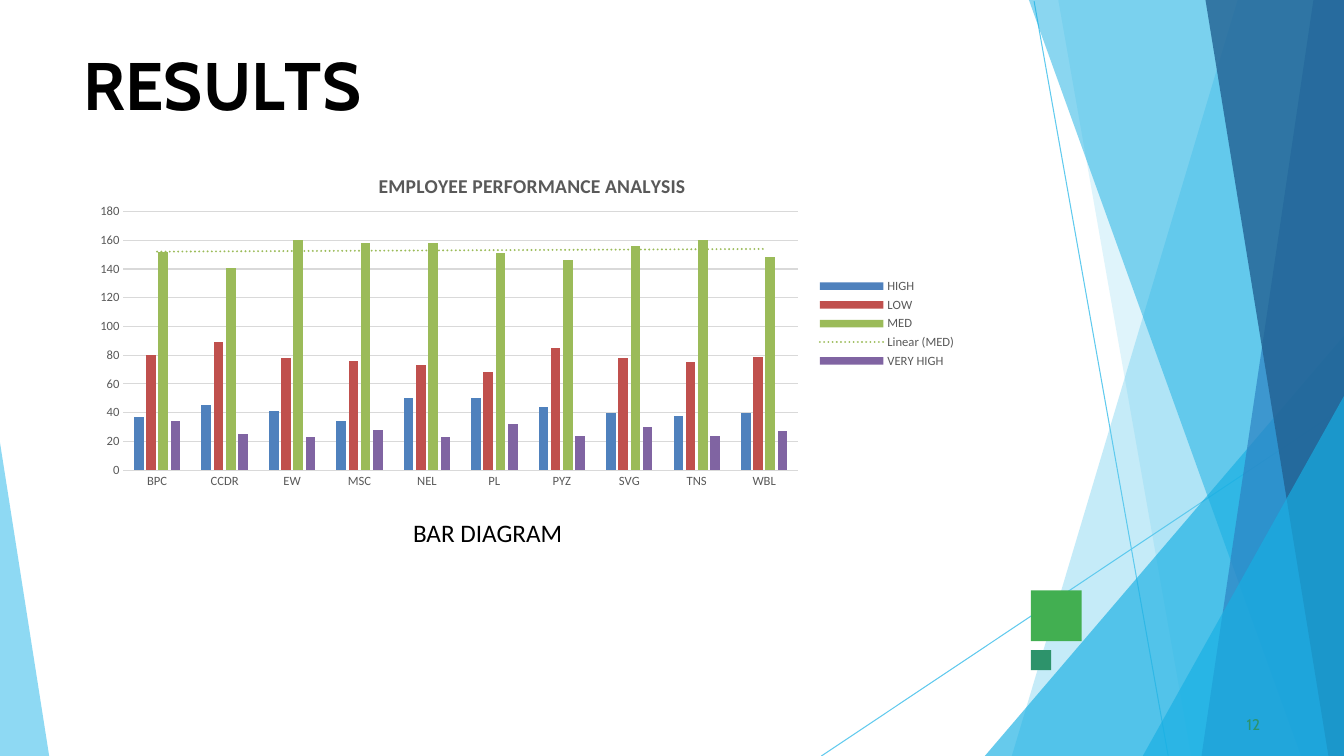
from dataclasses import dataclass

from lxml.etree import SubElement
from pptx import Presentation
from pptx.chart.data import CategoryChartData
from pptx.dml.color import RGBColor
from pptx.enum.chart import XL_CHART_TYPE, XL_LEGEND_POSITION, XL_TICK_MARK
from pptx.enum.shapes import MSO_CONNECTOR, MSO_SHAPE
from pptx.enum.text import MSO_ANCHOR, MSO_AUTO_SIZE, PP_ALIGN
from pptx.oxml import parse_xml
from pptx.oxml.ns import nsdecls, qn
from pptx.util import Cm, Pt


@dataclass(frozen=True)
class Theme:
    sky: str = "5FCAEE"
    cyan: str = "17AFE3"
    blue: str = "2D83C3"
    navy: str = "226192"
    green: str = "42AF51"
    teal: str = "2D936B"
    black: str = "000000"
    label: str = "595959"
    grid: str = "D9D9D9"
    heading_font: str = "Cabin"
    body_font: str = "Calibri"
    heading_size: int = 48
    caption_size: int = 18
    chart_title_size: int = 14
    number_size: int = 11
    label_size: int = 9


THEME = Theme()
RIGHT, BOTTOM = 33.87, 19.05

# Letters of the heading with their spacing in hundredths of a point
HEADING = [("R", 0), ("E", -40), ("S", 10), ("U", -30), ("L", -400), ("TS", 0)]
CAPTION = "BAR DIAGRAM"
PAGE_NUMBER = "12"

CHART_TITLE = "EMPLOYEE PERFORMANCE ANALYSIS"
UNITS = ["BPC", "CCDR", "EW", "MSC", "NEL", "PL", "PYZ", "SVG", "TNS", "WBL"]
RATINGS = [
    ("HIGH", "4F81BD", (37, 45, 41, 34, 50, 50, 44, 40, 38, 40)),
    ("LOW", "C0504D", (80, 89, 78, 76, 73, 68, 85, 78, 75, 79)),
    ("MED", "9BBB59", (152, 141, 160, 158, 158, 151, 146, 156, 160, 148)),
    ("VERY HIGH", "8064A2", (34, 25, 23, 28, 23, 32, 24, 30, 24, 27)),
]
TREND_RATING = "MED"

RAYS = [(26.06, 0.03, 29.44, BOTTOM), (RIGHT, 10.26, 20.7, BOTTOM)]
TOP_CORNER, BOTTOM_CORNER = (RIGHT, 0), (RIGHT, BOTTOM)
# Colour, opacity in percent, corners
FACETS = [
    (THEME.sky, 36, [TOP_CORNER, (31.19, 0), (25.5, BOTTOM), BOTTOM_CORNER]),
    (THEME.sky, 20, [TOP_CORNER, (26.67, 0), (30.02, BOTTOM), BOTTOM_CORNER]),
    (THEME.cyan, 66, [(RIGHT, 8.46), (24.82, BOTTOM), BOTTOM_CORNER]),
    (THEME.cyan, 50, [TOP_CORNER, (25.93, 0), (32.79, BOTTOM), BOTTOM_CORNER]),
    (THEME.blue, 70, [TOP_CORNER, (33.1, 0), (30.28, BOTTOM), BOTTOM_CORNER]),
    (THEME.navy, 80, [TOP_CORNER, (30.38, 0), (33.48, BOTTOM), BOTTOM_CORNER]),
    (THEME.cyan, 66, [(RIGHT, 9.98), (28.8, BOTTOM), BOTTOM_CORNER]),
    (THEME.sky, 70, [(0, 11.15), (0, BOTTOM), (1.24, BOTTOM)]),
]
# Colour, left, top, side
SQUARES = [(THEME.green, 25.98, 14.88, 1.28), (THEME.teal, 25.98, 16.38, 0.51)]


def rgb(code):
    return RGBColor.from_string(code)


def set_font(font, name, size, color, bold=False):
    font.name, font.size, font.bold = name, Pt(size), bold
    font.color.rgb = rgb(color)


def paint(shape, color):
    shape.shadow.inherit = False
    shape.fill.solid()
    shape.fill.fore_color.rgb = rgb(color)
    shape.line.fill.background()


def add_ray(page, ends):
    ray = page.shapes.add_connector(MSO_CONNECTOR.STRAIGHT, *map(Cm, ends))
    ray.line.color.rgb = rgb(THEME.sky)
    ray.line.width = Pt(0.75)
    SubElement(ray._element.spPr, qn("a:effectLst"))


def add_facet(page, color, opacity, corners):
    start, *others = [(Cm(x), Cm(y)) for x, y in corners]
    builder = page.shapes.build_freeform(*start)
    builder.add_line_segments(others, close=True)
    facet = builder.convert_to_shape()
    paint(facet, color)
    tint = facet._element.spPr.find(qn("a:solidFill"))[0]
    SubElement(tint, qn("a:alpha"), val=str(opacity * 1000))


def add_square(page, color, left, top, side):
    square = page.shapes.add_shape(
        MSO_SHAPE.RECTANGLE, Cm(left), Cm(top), Cm(side), Cm(side))
    paint(square, color)


def clear_margins(frame):
    frame.margin_left = frame.margin_right = frame.margin_bottom = 0
    frame.margin_top = Cm(0.03)


def add_heading(page):
    title = page.shapes.title
    title.left, title.top, title.width, title.height = map(Cm, (2.11, 1.07, 8.05, 2.08))
    frame = title.text_frame
    clear_margins(frame)
    frame.vertical_anchor = MSO_ANCHOR.TOP
    frame.auto_size = MSO_AUTO_SIZE.NONE
    para = frame.paragraphs[0]
    para.alignment = PP_ALIGN.LEFT
    para.space_before = Pt(1)
    set_font(para.font, THEME.heading_font, THEME.heading_size, THEME.black, True)
    for letters, spacing in HEADING:
        span = para.add_run()
        span.text = letters
        span.font._element.set("spc", str(spacing))


def add_text(page, text, place, font, size, color):
    box = page.shapes.add_textbox(*map(Cm, place))
    para = box.text_frame.paragraphs[0]
    para.text = text
    set_font(para.font, font, size, color)
    return box.text_frame


def place_in_chart(element, **fractions):
    """Give a chart part a manual layout, in fractions of the chart."""
    layout = element.find(qn("c:layout"))
    if layout is None:
        layout = parse_xml(f"<c:layout {nsdecls('c')}/>")
        element.insert(1 if element.tag == qn("c:title") else 0, layout)
    manual = SubElement(layout, qn("c:manualLayout"))
    if "w" in fractions:
        SubElement(manual, qn("c:layoutTarget"), val="inner")
    for side in "xy":
        SubElement(manual, qn(f"c:{side}Mode"), val="edge")
    for name, value in fractions.items():
        SubElement(manual, qn(f"c:{name}"), val=str(value))


def add_trend(series, color):
    trend = parse_xml(
        f"<c:trendline {nsdecls('c', 'a')}><c:spPr><a:ln w='{Pt(1.5)}' cap='rnd'>"
        f"<a:solidFill><a:srgbClr val='{color}'/></a:solidFill>"
        "<a:prstDash val='sysDot'/></a:ln></c:spPr><c:trendlineType val='linear'/>"
        "<c:dispRSqr val='0'/><c:dispEq val='0'/></c:trendline>")
    series._element.find(qn("c:cat")).addprevious(trend)


def add_rating_chart(page):
    data = CategoryChartData()
    data.categories = UNITS
    for name, _, values in RATINGS:
        data.add_series(name, values)
    chart = page.shapes.add_chart(
        XL_CHART_TYPE.COLUMN_CLUSTERED, Cm(2.11), Cm(3.81), Cm(22.25), Cm(8.69), data).chart
    set_font(chart.font, THEME.body_font, THEME.label_size, THEME.label)

    chart.has_title = True
    para = chart.chart_title.text_frame.paragraphs[0]
    para.text = CHART_TITLE
    set_font(para.font, THEME.body_font, THEME.chart_title_size, THEME.label, True)
    chart.chart_title.include_in_layout = False
    place_in_chart(chart.chart_title._element, x=0.33, y=0.05)
    place_in_chart(chart._chartSpace.chart.plotArea, x=0.045, y=0.175, w=0.764, h=0.75)

    chart.has_legend = True
    chart.legend.position = XL_LEGEND_POSITION.RIGHT
    chart.legend.include_in_layout = False

    plot = chart.plots[0]
    plot.gap_width, plot.overlap, plot.vary_by_categories = 219, -27, False
    for series, (name, color, _) in zip(plot.series, RATINGS):
        series.format.fill.solid()
        series.format.fill.fore_color.rgb = rgb(color)
        if name == TREND_RATING:
            add_trend(series, color)

    units, scale = chart.category_axis, chart.value_axis
    for axis in (units, scale):
        axis.major_tick_mark = axis.minor_tick_mark = XL_TICK_MARK.NONE
    scale.minimum_scale, scale.maximum_scale, scale.major_unit = 0, 180, 20
    scale.format.line.fill.background()
    for line in (units.format.line, scale.major_gridlines.format.line):
        line.color.rgb = rgb(THEME.grid)
        line.width = Pt(0.75)


def main():
    deck = Presentation()
    deck.slide_width, deck.slide_height = Cm(RIGHT), Cm(BOTTOM)
    page = deck.slides.add_slide(deck.slide_layouts[5])
    for ends in RAYS:
        add_ray(page, ends)
    for facet in FACETS:
        add_facet(page, *facet)
    for square in SQUARES:
        add_square(page, *square)
    add_heading(page)
    clear_margins(add_text(page, PAGE_NUMBER, (31.42, 17.98, 0.63, 0.53),
                           THEME.heading_font, THEME.number_size, THEME.teal))
    add_rating_chart(page)
    add_text(page, CAPTION, (10.16, 12.9, 4.32, 1.02),
             THEME.body_font, THEME.caption_size, THEME.black)
    deck.save("out.pptx")


if __name__ == "__main__":
    main()
